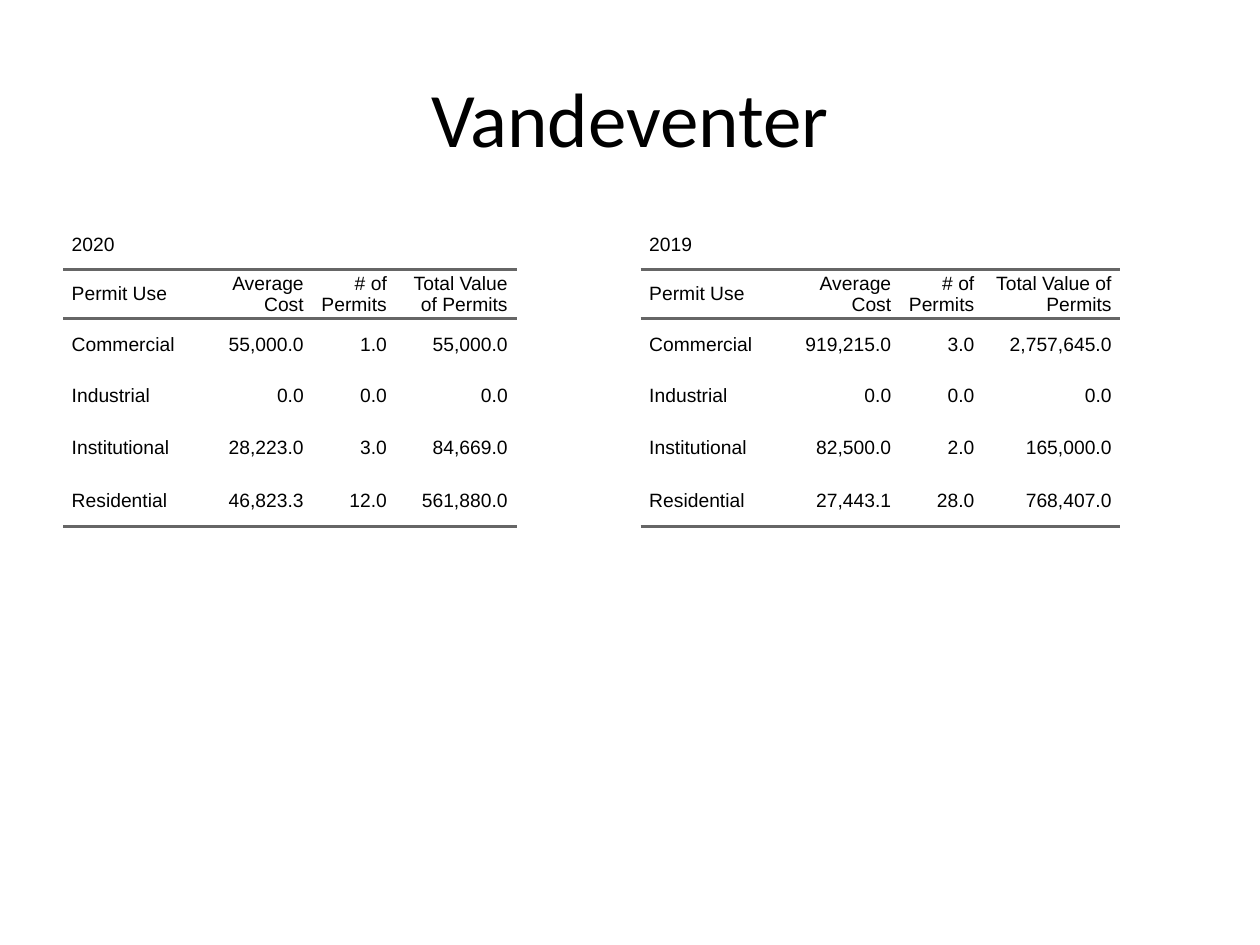
import pptx
import pptx.dml.color
import pptx.enum.text
import pptx.oxml.ns
import pptx.util
from lxml import etree

Pt = pptx.util.Pt
ALIGN = pptx.enum.text.PP_ALIGN
MIDDLE = pptx.enum.text.MSO_ANCHOR.MIDDLE
COLORS = {"text": "000000", "rule": "666666"}

HEADINGS = ["Permit Use", "Average Cost", "# of Permits", "Total Value of Permits"]
USES = ["Commercial", "Industrial", "Institutional", "Residential"]
ROW_HEIGHTS = [28.1, 28.1, 29.5, 29, 30.2, 30.2]
SIDE_MARGIN = 5
PERMITS = [
    {
        "year": "2020",
        "left": 36,
        "widths": [79.2, 63.4, 47.5, 69.1],
        "values": [
            ["55,000.0", "1.0", "55,000.0"],
            ["0.0", "0.0", "0.0"],
            ["28,223.0", "3.0", "84,669.0"],
            ["46,823.3", "12.0", "561,880.0"],
        ],
    },
    {
        "year": "2019",
        "left": 366,
        "widths": [79.2, 69.1, 47.5, 78.5],
        "values": [
            ["919,215.0", "3.0", "2,757,645.0"],
            ["0.0", "0.0", "0.0"],
            ["82,500.0", "2.0", "165,000.0"],
            ["27,443.1", "28.0", "768,407.0"],
        ],
    },
]


def style_text(paragraph, font_name, size, align):
    paragraph.alignment = align
    for run in paragraph.runs:
        run.font.name = font_name
        run.font.size = Pt(size)
        run.font.color.rgb = pptx.dml.color.RGBColor.from_string(COLORS["text"])


def set_borders(cell, ruled_sides):
    qn = pptx.oxml.ns.qn
    properties = cell._tc.get_or_add_tcPr()
    for position, side in enumerate("LRTB"):
        line = etree.Element(qn(f"a:ln{side}"))
        if side in ruled_sides:
            line.set("w", str(Pt(2)))
            fill = etree.SubElement(line, qn("a:solidFill"))
            etree.SubElement(fill, qn("a:srgbClr"), val=COLORS["rule"])
        else:
            etree.SubElement(line, qn("a:noFill"))
        properties.insert(position, line)


def add_title(slide, text, left, top, width, height):
    title = slide.shapes.title
    title.left, title.top, title.width, title.height = map(Pt, (left, top, width, height))
    title.text_frame.text = text
    title.text_frame.vertical_anchor = MIDDLE
    style_text(title.text_frame.paragraphs[0], "Calibri", 44, ALIGN.CENTER)


def add_permit_table(slide, year, values, widths, left, top):
    rows = [[year, "", "", ""], HEADINGS]
    rows += [[use, *figures] for use, figures in zip(USES, values)]
    ruled_sides = {0: "B", 1: "TB", 2: "T", len(rows) - 1: "B"}
    table = slide.shapes.add_table(
        len(rows), len(widths), Pt(left), Pt(top), Pt(sum(widths)), Pt(sum(ROW_HEIGHTS))
    ).table
    table.first_row = False
    table.horz_banding = False
    for column, width in zip(table.columns, widths):
        column.width = Pt(width)
    for r, (row, height) in enumerate(zip(rows, ROW_HEIGHTS)):
        table.rows[r].height = Pt(height)
        for c, text in enumerate(row):
            cell = table.cell(r, c)
            cell.text_frame.text = text
            cell.vertical_anchor = MIDDLE
            cell.margin_left = cell.margin_right = Pt(SIDE_MARGIN)
            cell.margin_top = cell.margin_bottom = 0
            cell.fill.background()
            set_borders(cell, ruled_sides.get(r, ""))
            style_text(cell.text_frame.paragraphs[0], "Arial", 11, ALIGN.RIGHT if c else ALIGN.LEFT)
    table.cell(0, 0).merge(table.cell(0, len(widths) - 1))


def main():
    presentation = pptx.Presentation()
    presentation.slide_width = Pt(720)
    presentation.slide_height = Pt(540)
    slide = presentation.slides.add_slide(presentation.slide_layouts[5])
    for permits in PERMITS:
        add_permit_table(slide, top=126, **permits)
    add_title(slide, "Vandeventer", 36, 21.6, 648, 90)
    presentation.save("out.pptx")


if __name__ == "__main__":
    main()
